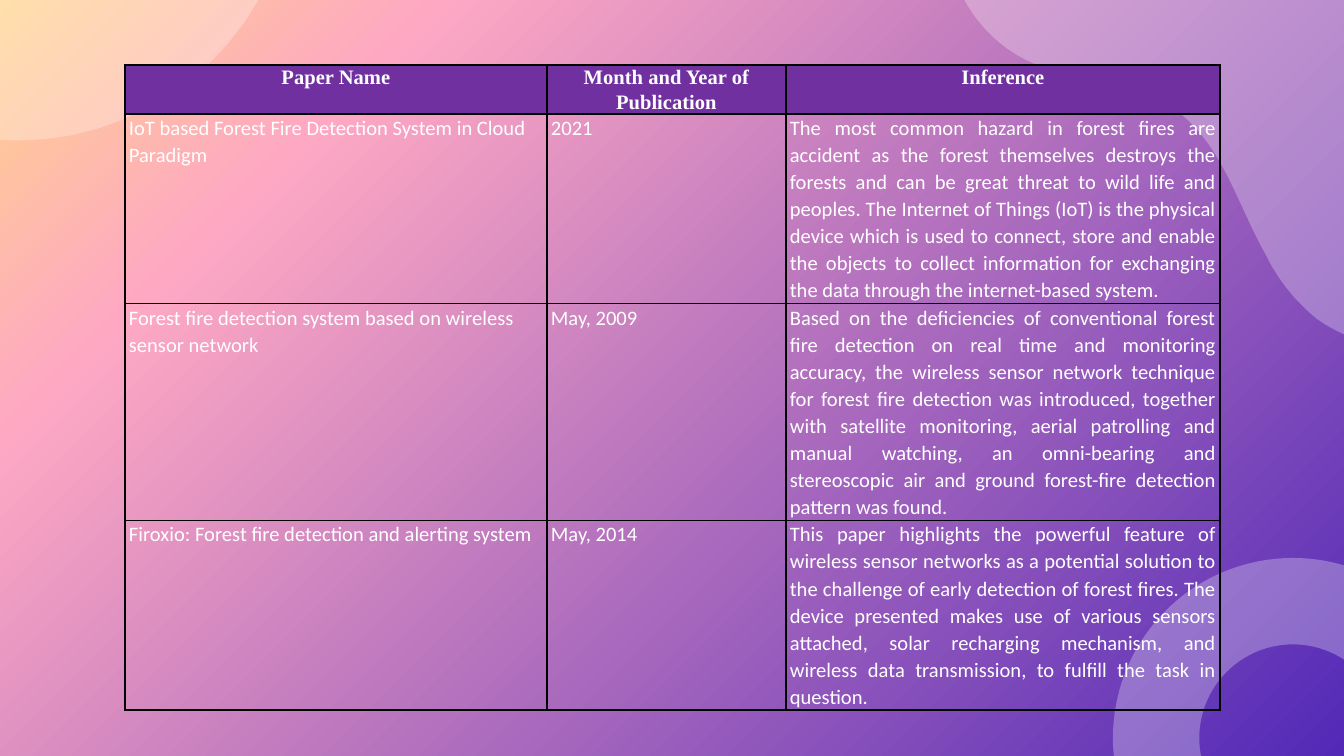
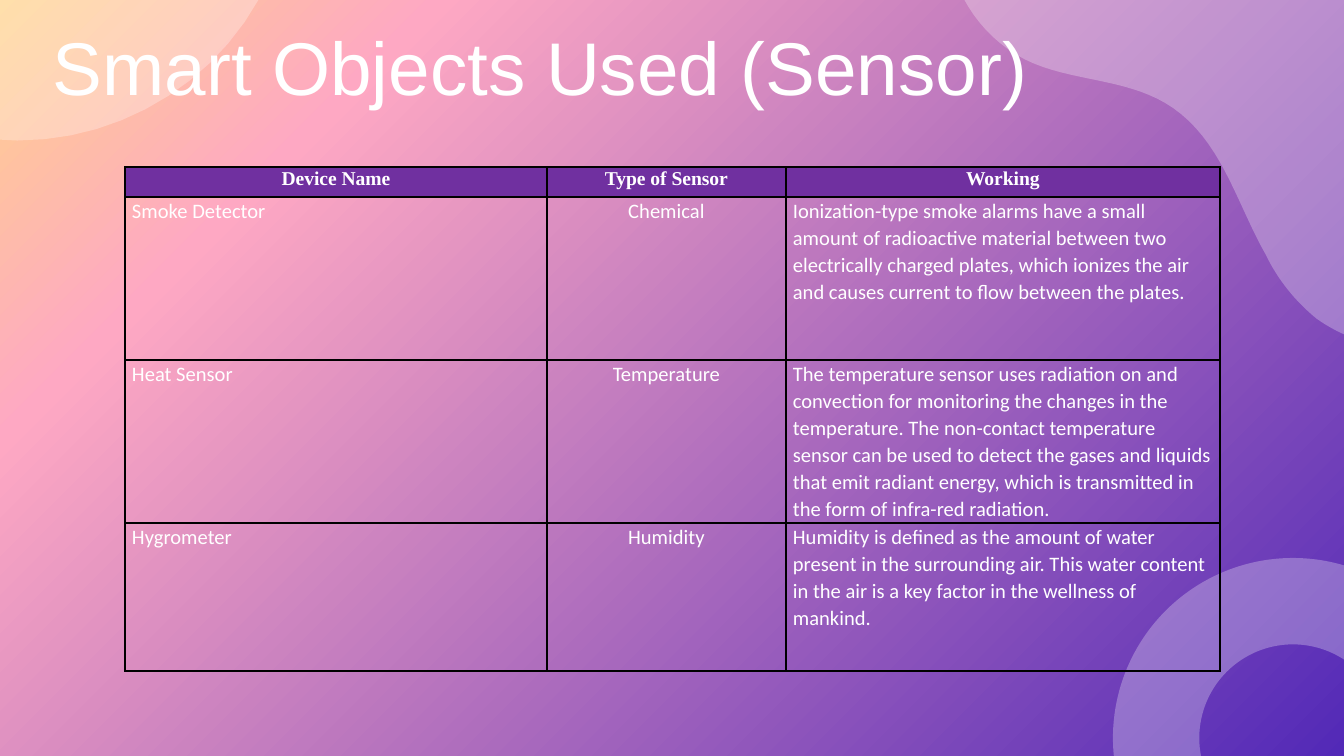
from copy import deepcopy

from lxml.etree import SubElement
from pptx import Presentation
from pptx.dml.color import RGBColor
from pptx.enum.shapes import MSO_SHAPE
from pptx.enum.text import MSO_ANCHOR, PP_ALIGN
from pptx.oxml import parse_xml
from pptx.oxml.ns import nsdecls, qn
from pptx.util import Pt

PX = 914400 / 134.4
WHITE = RGBColor(0xFF, 0xFF, 0xFF)
BLACK = RGBColor(0x00, 0x00, 0x00)
HEADER = RGBColor(0x70, 0x30, 0xA0)
BG_STOPS = [(0, RGBColor(0x52, 0x29, 0xB7)),
            (0.79, RGBColor(0xFE, 0xA8, 0xC3)),
            (1, RGBColor(0xFF, 0xD3, 0x8B))]

LEFT, CENTER, JUSTIFY = PP_ALIGN.LEFT, PP_ALIGN.CENTER, PP_ALIGN.JUSTIFY
COLS = [422, 239, 434]
ROWS = [30, 163, 163, 148]

# Outlines: a pair is a line end, six numbers are a cubic curve
WAVE = [(948, -48), (956, 3, 992, 50, 1043, 67), (1089, 83, 1141, 81, 1181, 114),
        (1224, 149, 1239, 208, 1266, 255), (1278, 280, 1296, 302, 1317, 319),
        (1337, 333, 1360, 343, 1384, 345), (1394, 347, 1402, 348, 1411, 347),
        (1411, -48)]
QUARTER = [(11, -145), (-73, 125), (-65, 128), (81, 173, 235, 93, 281, -52),
           (284, -60)]

PAPERS = [
    ["Paper Name", "Month and Year of Publication", "Inference"],
    ["IoT based Forest Fire Detection System in Cloud Paradigm", "2021",
     "The most common hazard in forest fires are accident as the forest themselves "
     "destroys the forests and can be great threat to wild life and peoples. The "
     "Internet of Things (IoT) is the physical device which is used to connect, store "
     "and enable the objects to collect information for exchanging the data through "
     "the internet-based system."],
    ["Forest fire detection system based on wireless sensor network", "May, 2009",
     "Based on the deficiencies of conventional forest fire detection on real time and "
     "monitoring accuracy, the wireless sensor network technique for forest fire "
     "detection was introduced, together with satellite monitoring, aerial patrolling "
     "and manual watching, an omni-bearing and stereoscopic air and ground forest-fire "
     "detection pattern was found."],
    ["Firoxio: Forest fire detection and alerting system", "May, 2014",
     "This paper highlights the powerful feature of wireless sensor networks as a "
     "potential solution to the challenge of early detection of forest fires. The "
     "device presented makes use of various sensors attached, solar recharging "
     "mechanism, and wireless data transmission, to fulfill the task in question."],
]
SENSORS = [
    ["Device Name", "Type of Sensor", "Working"],
    ["Smoke Detector", "Chemical",
     "Ionization-type smoke alarms have a small amount of radioactive material between "
     "two electrically charged plates, which ionizes the air and causes current to "
     "flow between the plates."],
    ["Heat Sensor", "Temperature",
     "The temperature sensor uses radiation on and convection for monitoring the "
     "changes in the temperature. The non-contact temperature sensor can be used to "
     "detect the gases and liquids that emit radiant energy, which is transmitted in "
     "the form of infra-red radiation."],
    ["Hygrometer", "Humidity",
     "Humidity is defined as the amount of water present in the surrounding air. This "
     "water content in the air is a key factor in the wellness of mankind."],
]


def px(n):
    return round(n * PX)


def write(tf, text, size=11, font="Calibri", color=WHITE, bold=False,
          align=LEFT, spacing=None, after=None):
    p = tf.paragraphs[0]
    p.alignment = align
    if spacing:
        p.line_spacing = spacing
    if after:
        p.space_after = Pt(after)
    r = p.add_run()
    r.text = text
    r.font.size, r.font.name, r.font.bold = Pt(size), font, bold
    r.font.color.rgb = color


# Background and decoration
def set_background(s):
    fill = s.background.fill
    fill.gradient()
    fill.gradient_angle = 135
    stops = s.element.find(".//" + qn("a:gsLst"))
    stops.append(deepcopy(stops[-1]))
    for stop, (position, color) in zip(fill.gradient_stops, BG_STOPS):
        stop.position = position
        stop.color.rgb = color


def veil(sp):
    sp.shadow.inherit = False
    sp.line.fill.background()
    sp.fill.solid()
    sp.fill.fore_color.rgb = WHITE
    color = sp.element.spPr.find(".//" + qn("a:srgbClr"))
    SubElement(color, qn("a:alpha")).set("val", "28000")


def curve(x0, y0, segment, steps=16):
    x1, y1, x2, y2, x3, y3 = segment
    for i in range(1, steps + 1):
        t = i / steps
        u = 1 - t
        a, b, c, d = u ** 3, 3 * u * u * t, 3 * u * t * t, t ** 3
        yield a * x0 + b * x1 + c * x2 + d * x3, a * y0 + b * y1 + c * y2 + d * y3


def add_outline(s, outline):
    points = [outline[0]]
    for segment in outline[1:]:
        points += [segment] if len(segment) == 2 else curve(*points[-1], segment)
    points = [(px(x), px(y)) for x, y in points]
    builder = s.shapes.build_freeform(*points[0])
    builder.add_line_segments(points[1:], close=True)
    veil(builder.convert_to_shape())


def add_ring(s, x, y, size):
    sp = s.shapes.add_shape(MSO_SHAPE.DONUT, px(x), px(y), px(size), px(size))
    sp.adjustments[0] = 0.24
    veil(sp)


def new_slide(prs):
    s = prs.slides.add_slide(prs.slide_layouts[6])
    set_background(s)
    add_outline(s, WAVE)
    add_ring(s, 1113, 558, 360)
    add_outline(s, QUARTER)
    return s


# Content
def add_title(s, text):
    tf = s.shapes.add_textbox(px(40), px(31), px(1204), px(70)).text_frame
    tf.word_wrap = True
    tf.vertical_anchor = MSO_ANCHOR.MIDDLE
    tf.margin_left = tf.margin_right = tf.margin_top = tf.margin_bottom = px(13)
    write(tf, text, size=40, font="Arial")


def set_borders(cell):
    tcPr = cell._tc.get_or_add_tcPr()
    for i, side in enumerate("LRTB"):
        tcPr.insert(i, parse_xml(
            f'<a:ln{side} {nsdecls("a")} w="12700"><a:solidFill>'
            f'<a:srgbClr val="{BLACK}"/></a:solidFill></a:ln{side}>'))


def add_grid(s, top, rows, aligns, inset, header_size):
    table = s.shapes.add_table(len(rows), len(COLS), px(125), px(top),
                               px(sum(COLS)), px(sum(ROWS))).table
    table.first_row = table.horz_banding = False
    for column, width in zip(table.columns, COLS):
        column.width = px(width)
    for i, (height, texts) in enumerate(zip(ROWS, rows)):
        table.rows[i].height = px(height)
        for j, text in enumerate(texts):
            cell = table.cell(i, j)
            cell.margin_left = cell.margin_right = px(inset)
            cell.margin_top = cell.margin_bottom = 0
            fmt = dict(align=aligns[j])
            if i == 0:
                cell.fill.solid()
                cell.fill.fore_color.rgb = HEADER
                fmt = dict(align=CENTER, size=header_size,
                           font="Times New Roman", bold=True)
            else:
                cell.fill.background()
            set_borders(cell)
            write(cell.text_frame, text, spacing=1.07, after=8, **fmt)


def main():
    prs = Presentation()
    prs.slide_width, prs.slide_height = px(1344), px(756)

    # Literature survey
    s = new_slide(prs)
    add_grid(s, 65, PAPERS, (LEFT, LEFT, JUSTIFY), inset=4, header_size=11)

    # Sensors
    s = new_slide(prs)
    add_title(s, "Smart Objects Used (Sensor)")
    add_grid(s, 167, SENSORS, (JUSTIFY, CENTER, LEFT), inset=7, header_size=10.5)

    prs.save("out.pptx")


if __name__ == "__main__":
    main()
